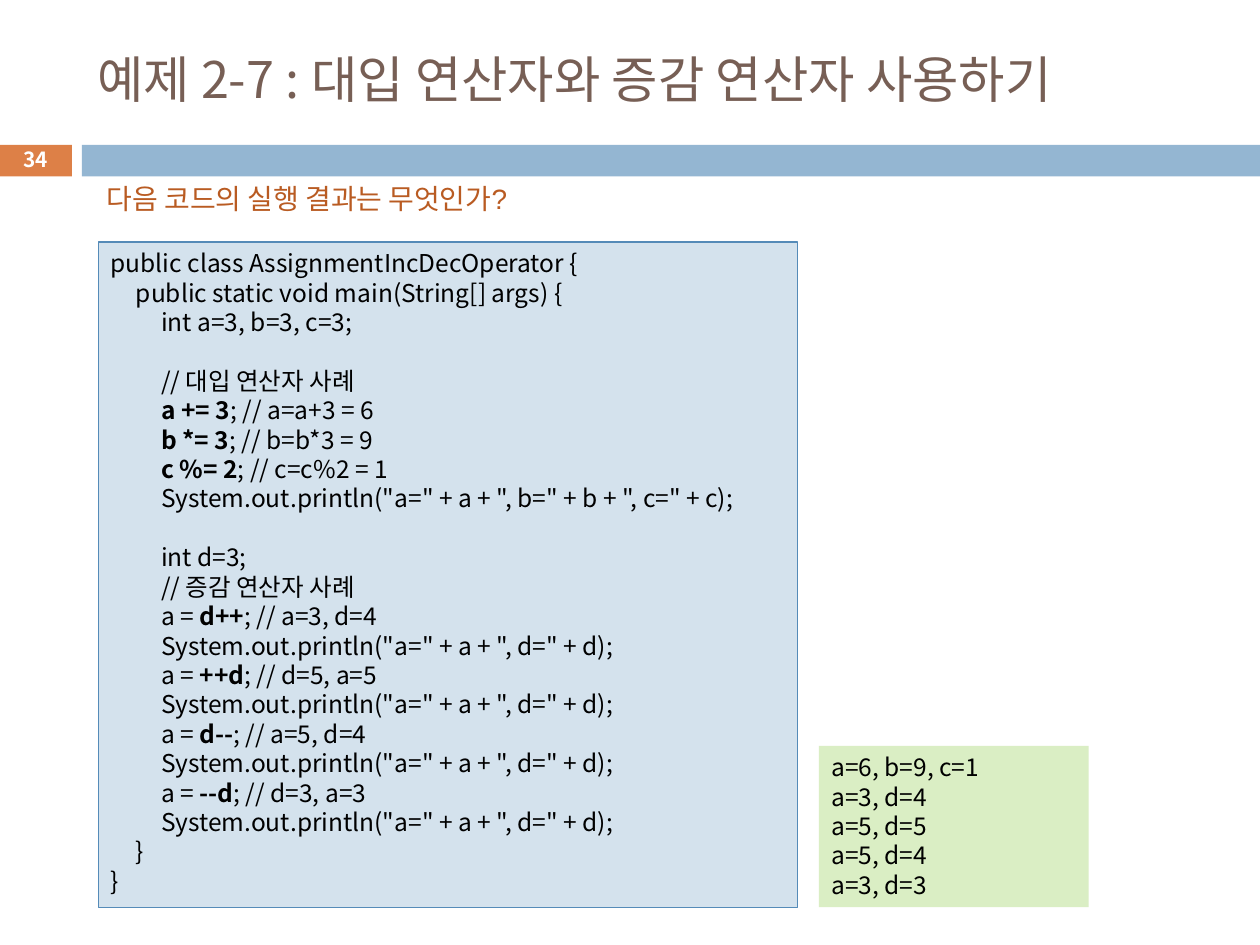
from pptx import Presentation
from pptx.dml.color import RGBColor
from pptx.enum.shapes import MSO_SHAPE
from pptx.enum.text import MSO_ANCHOR, PP_ALIGN
from pptx.oxml.ns import qn
from pptx.util import Inches, Pt
from lxml import etree

RECTANGLE = MSO_SHAPE.RECTANGLE
TOP, MIDDLE = MSO_ANCHOR.TOP, MSO_ANCHOR.MIDDLE
LEFT, CENTER = PP_ALIGN.LEFT, PP_ALIGN.CENTER

ORANGE = RGBColor(0xDD, 0x80, 0x47)
BLUE = RGBColor(0x94, 0xB6, 0xD2)
BROWN = RGBColor(0x77, 0x5F, 0x55)
RUST = RGBColor(0xB9, 0x5B, 0x22)
PALE_BLUE = RGBColor(0xD4, 0xE2, 0xED)
EDGE_BLUE = RGBColor(0x55, 0x8B, 0xB8)
PALE_GREEN = RGBColor(0xDA, 0xEE, 0xC4)
BLACK = RGBColor(0, 0, 0)
WHITE = RGBColor(0xFF, 0xFF, 0xFF)

KOREAN_FONT = "Noto Sans CJK KR"
LINE_PITCH = 16.8
TAB_STEP = 0.2
BOLD_MARK = "|"

# Bold parts stand between bold marks
CODE = """public class AssignmentIncDecOperator {
\tpublic static void main(String[] args) {
\t\tint a=3, b=3, c=3;

\t\t// 대입 연산자 사례
\t\t|a += 3|; // a=a+3 = 6
\t\t|b *= 3|; // b=b*3 = 9
\t\t|c %= 2|; // c=c%2 = 1
\t\tSystem.out.println("a=" + a + ", b=" + b + ", c=" + c);

\t\tint d=3;
\t\t// 증감 연산자 사례
\t\ta = |d++|; // a=3, d=4
\t\tSystem.out.println("a=" + a + ", d=" + d);
\t\ta = |++d|; // d=5, a=5
\t\tSystem.out.println("a=" + a + ", d=" + d);
\t\ta = |d--|; // a=5, d=4
\t\tSystem.out.println("a=" + a + ", d=" + d);
\t\ta = |--d|; // d=3, a=3
\t\tSystem.out.println("a=" + a + ", d=" + d);
\t}
}"""

OUTPUT = """a=6, b=9, c=1
a=3, d=4
a=5, d=5
a=5, d=4
a=3, d=3"""


def add_span(para, text, size, color, font, bold):
    span = para.add_run()
    span.text = text
    span.font.size = Pt(size)
    span.font.name = font
    span.font.bold = bold
    span.font.color.rgb = color
    east_asian = etree.SubElement(span.font._element, qn("a:ea"))
    east_asian.set("typeface", KOREAN_FONT)


def add_tab_stops(para, count=2):
    tabs = etree.SubElement(para._p.get_or_add_pPr(), qn("a:tabLst"))
    for number in range(1, count + 1):
        tab = etree.SubElement(tabs, qn("a:tab"))
        tab.set("pos", str(Inches(TAB_STEP * number)))
        tab.set("algn", "l")


def write_text(box, text, size=14, color=BLACK, font=KOREAN_FONT, bold=False,
               align=LEFT, anchor=TOP, wrap=True, pitch=None, tabs=False):
    """Fill a box line by line; an empty line becomes space before the next."""
    frame = box.text_frame
    frame.word_wrap = wrap
    frame.vertical_anchor = anchor
    para, gap = frame.paragraphs[0], 0
    for index, line in enumerate(text.split("\n")):
        if not line:
            gap += pitch
            continue
        if index:
            para = frame.add_paragraph()
        para.alignment = align
        if pitch:
            para.line_spacing = Pt(pitch)
        if gap:
            para.space_before = Pt(gap)
            gap = 0
        if tabs:
            add_tab_stops(para)
        for part, piece in enumerate(line.split(BOLD_MARK)):
            if piece:
                add_span(para, piece, size, color, font, bold or part % 2 == 1)


def add_panel(page, left, top, width, height, fill, edge=None):
    panel = page.shapes.add_shape(RECTANGLE, Inches(left), Inches(top),
                                  Inches(width), Inches(height))
    panel.shadow.inherit = False
    panel.fill.solid()
    panel.fill.fore_color.rgb = fill
    if edge is None:
        panel.line.fill.background()
    else:
        panel.line.color.rgb = edge
        panel.line.width = Pt(0.75)
    return panel


def add_label(page, left, top, width, height, text, **text_format):
    label = page.shapes.add_textbox(Inches(left), Inches(top),
                                    Inches(width), Inches(height))
    write_text(label, text, anchor=MIDDLE, **text_format)


def add_title(page, text):
    title = page.shapes.title
    title.left, title.top = Inches(0.67), Inches(0.25)
    title.width, title.height = Inches(8.92), Inches(0.74)
    write_text(title, text, size=28.8, color=BROWN, anchor=MIDDLE)


def main():
    deck = Presentation()
    deck.slide_width, deck.slide_height = Inches(10), Inches(7.5)
    page = deck.slides.add_slide(deck.slide_layouts[5])

    # Header band with the page number
    add_panel(page, -0.01, 1.15, 0.58, 0.25, ORANGE)
    add_panel(page, 0.65, 1.15, 9.35, 0.25, BLUE)
    add_title(page, "예제 2-7 : 대입 연산자와 증감 연산자 사용하기")
    add_label(page, -0.01, 1.13, 0.58, 0.27, "34", size=11.9, color=WHITE,
              bold=True, align=CENTER)

    # Question
    add_label(page, 0.75, 1.39, 3.76, 0.37, "다음 코드의 실행 결과는 무엇인가?",
              size=16, color=RUST, font="Arial", wrap=False)

    # Code and its output
    code_panel = add_panel(page, 0.78, 1.92, 5.55, 5.28, PALE_BLUE, EDGE_BLUE)
    write_text(code_panel, CODE, pitch=LINE_PITCH, tabs=True)
    output_panel = add_panel(page, 6.5, 5.92, 2.14, 1.28, PALE_GREEN)
    write_text(output_panel, OUTPUT, pitch=LINE_PITCH)

    deck.save("out.pptx")


if __name__ == "__main__":
    main()
